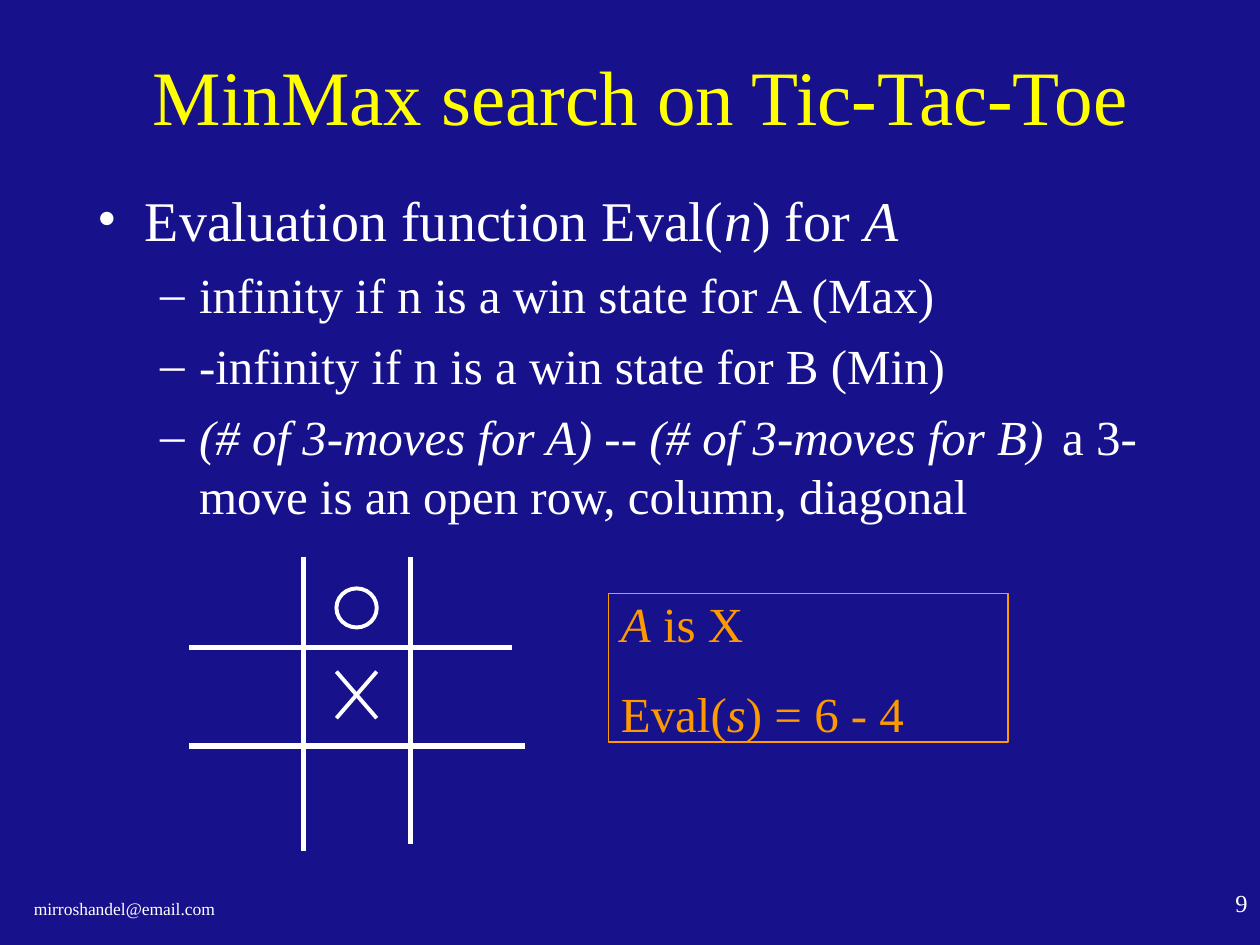
from lxml import etree
from pptx import Presentation
from pptx.dml.color import RGBColor
from pptx.enum.shapes import MSO_CONNECTOR, MSO_SHAPE
from pptx.enum.text import MSO_ANCHOR, MSO_AUTO_SIZE, PP_ALIGN
from pptx.oxml.ns import qn
from pptx.util import Inches, Pt

LINE = MSO_CONNECTOR.STRAIGHT
OVAL, RECT = MSO_SHAPE.OVAL, MSO_SHAPE.RECTANGLE
MIDDLE, TOP = MSO_ANCHOR.MIDDLE, MSO_ANCHOR.TOP
FIXED = MSO_AUTO_SIZE.NONE
LEFT, CENTER, RIGHT = PP_ALIGN.LEFT, PP_ALIGN.CENTER, PP_ALIGN.RIGHT

FONT = "Times New Roman"
NAVY, WHITE, YELLOW, ORANGE = "17118B", "FFFFFF", "FFFF00", "FF9900"

POINTS = [
    (0, [("Evaluation function Eval(", False), ("n", True),
         (") for ", False), ("A", True)]),
    (1, [("infinity if n is a win state for A (Max)", False)]),
    (1, [("-infinity if n is a win state for B (Min)", False)]),
    (1, [("(# of 3-moves for A) -- (# of 3-moves for B)\t\t", True),
         ("a 3-move is an open row, column, diagonal", False)]),
]
LEVELS = [(0.38, -0.38, "•", 32, 8), (0.81, -0.31, "–", 28, 7)]
SCORE = [
    [("A", True), (" is X", False)],
    [("Eval(", False), ("s", True), (") = 6 - 4", False)],
]
GRID = [
    (2.41, 4.42, 2.41, 6.75),
    (3.26, 4.42, 3.26, 6.7),
    (1.5, 5.14, 4.06, 5.14),
    (1.5, 5.92, 4.17, 5.92),
]
CROSS = [(2.67, 5.7, 2.99, 5.33), (2.67, 5.33, 2.99, 5.7)]


def color(code):
    return RGBColor.from_string(code)


def place(shape, left, top, width, height):
    shape.left, shape.top = Inches(left), Inches(top)
    shape.width, shape.height = Inches(width), Inches(height)


def add_runs(para, runs, size, tint):
    for text, slant in runs:
        run = para.add_run()
        run.text = text
        run.font.name = FONT
        run.font.size = Pt(size)
        run.font.italic = slant
        run.font.color.rgb = color(tint)


def next_para(frame, index):
    return frame.add_paragraph() if index else frame.paragraphs[0]


def set_frame(frame, anchor):
    frame.word_wrap = True
    frame.auto_size = FIXED
    frame.vertical_anchor = anchor


def add_bullet(para, margin, indent, mark):
    props = para._p.get_or_add_pPr()
    props.set("marL", str(Inches(margin)))
    props.set("indent", str(Inches(indent)))
    tint = etree.SubElement(props, qn("a:buClr"))
    etree.SubElement(tint, qn("a:srgbClr"), val=WHITE)
    etree.SubElement(props, qn("a:buFont"), typeface=FONT)
    etree.SubElement(props, qn("a:buChar"), char=mark)
    tabs = etree.SubElement(props, qn("a:tabLst"))
    for stop in range(1, 9):
        etree.SubElement(tabs, qn("a:tab"), pos=str(Inches(stop)), algn="l")


def fill_title(shape):
    place(shape, 0.67, 0.25, 8.83, 1)
    set_frame(shape.text_frame, MIDDLE)
    para = shape.text_frame.paragraphs[0]
    para.alignment = CENTER
    add_runs(para, [("MinMax search on Tic-Tac-Toe", False)], 44, YELLOW)


def fill_body(shape):
    place(shape, 0.67, 1.42, 8.67, 3.08)
    set_frame(shape.text_frame, TOP)
    for index, (level, runs) in enumerate(POINTS):
        margin, indent, mark, size, gap = LEVELS[level]
        para = next_para(shape.text_frame, index)
        para.level = level
        add_bullet(para, margin, indent, mark)
        para.space_before = Pt(gap if index else 0)
        add_runs(para, runs, size, WHITE)


def add_note(slide, text, box, size, align):
    shape = slide.shapes.add_textbox(*map(Inches, box))
    set_frame(shape.text_frame, TOP)
    para = shape.text_frame.paragraphs[0]
    para.alignment = align
    add_runs(para, [(text, False)], size, WHITE)


def add_line(slide, ends, width):
    line = slide.shapes.add_connector(LINE, *map(Inches, ends))
    line.line.color.rgb = color(WHITE)
    line.line.width = Pt(width)
    etree.SubElement(line._element.spPr, qn("a:effectLst"))


def add_outline(slide, kind, box, tint, width):
    shape = slide.shapes.add_shape(kind, *map(Inches, box))
    shape.shadow.inherit = False
    shape.fill.background()
    shape.line.color.rgb = color(tint)
    shape.line.width = Pt(width)
    return shape


def add_score(slide):
    shape = add_outline(slide, RECT, (4.83, 4.71, 3.17, 1.18), ORANGE, 0.75)
    frame = shape.text_frame
    set_frame(frame, MIDDLE)
    frame.margin_top = frame.margin_bottom = 0
    for index, runs in enumerate(SCORE):
        para = next_para(frame, index)
        para.alignment = LEFT
        para.space_before = Pt(17.5 if index else 0)
        add_runs(para, runs, 28, ORANGE)


def main():
    deck = Presentation()
    deck.slide_width, deck.slide_height = Inches(10), Inches(7.5)
    slide = deck.slides.add_slide(deck.slide_layouts[1])
    slide.background.fill.solid()
    slide.background.fill.fore_color.rgb = color(NAVY)
    fill_title(slide.shapes.title)
    fill_body(slide.placeholders[1])
    add_note(slide, "mirroshandel@email.com", (0.17, 7.08, 4.17, 0.25), 10, LEFT)
    add_note(slide, "9", (7.92, 7, 2.08, 0.5), 14, RIGHT)
    for ends in GRID:
        add_line(slide, ends, 3)
    for ends in CROSS:
        add_line(slide, ends, 2.25)
    add_outline(slide, OVAL, (2.67, 4.67, 0.32, 0.31), WHITE, 2.25)
    add_score(slide)
    deck.save("out.pptx")


if __name__ == "__main__":
    main()
